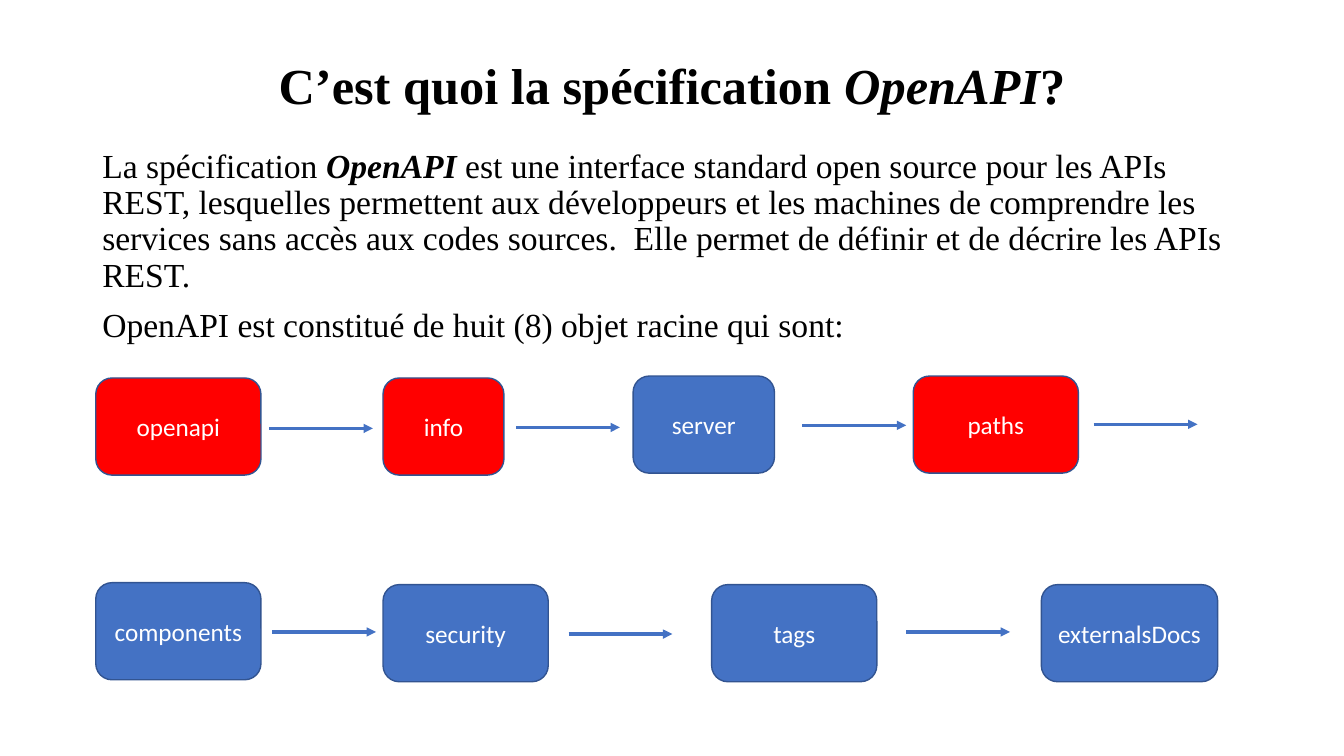
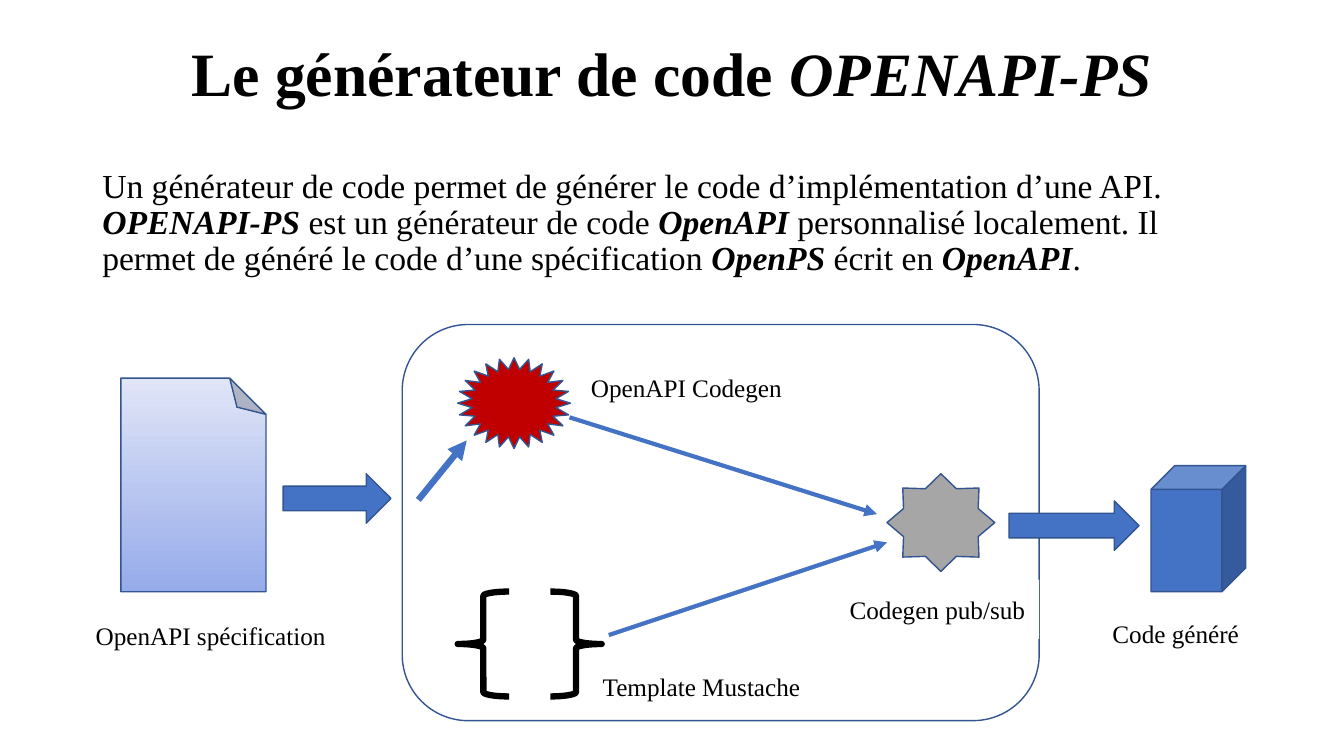
from dataclasses import dataclass
from typing import Any, Optional

from lxml.etree import SubElement
from pptx import Presentation
from pptx.dml.color import RGBColor
from pptx.enum.shapes import MSO_CONNECTOR, MSO_SHAPE
from pptx.enum.text import MSO_ANCHOR, MSO_AUTO_SIZE, PP_ALIGN
from pptx.oxml.ns import qn
from pptx.util import Pt

# Shared style
BLACK = RGBColor(0x00, 0x00, 0x00)
WHITE = RGBColor(0xFF, 0xFF, 0xFF)
BLUE = RGBColor(0x44, 0x72, 0xC4)
NAVY = RGBColor(0x32, 0x54, 0x91)
RED = RGBColor(0xFF, 0x00, 0x00)
CRIMSON = RGBColor(0xC0, 0x00, 0x00)
GREY = RGBColor(0xA6, 0xA6, 0xA6)
PALE = RGBColor(0xE0, 0xE5, 0xF7)
SKY = RGBColor(0x96, 0xAB, 0xEA)
SERIF, SANS = "Times New Roman", "Calibri"
LEFT, WIDE = 66, 828


@dataclass
class Box:
    """A preset shape, in points, with optional text."""
    kind: MSO_SHAPE
    left: float
    top: float
    width: float
    height: float
    fill: Optional[RGBColor] = BLUE
    line: Optional[RGBColor] = NAVY
    weight: float = 1
    text: str = ""
    font: str = SERIF
    color: RGBColor = BLACK


@dataclass
class Arrow:
    """A straight arrow, in points."""
    x1: float
    y1: float
    x2: float
    y2: float
    weight: float = 2.25


def write(frame: Any, text: str, *, size: float = 18, font: str = SERIF,
          color: RGBColor = BLACK, bold: bool = False,
          align: PP_ALIGN = PP_ALIGN.CENTER, space: float = 1,
          before: float = 0, anchor: MSO_ANCHOR = MSO_ANCHOR.MIDDLE) -> None:
    """Fill a frame: newlines part paragraphs, *stars* mark bold italics."""
    frame.word_wrap = True
    frame.auto_size = MSO_AUTO_SIZE.NONE
    frame.vertical_anchor = anchor
    for i, part in enumerate(text.split("\n")):
        para = frame.add_paragraph() if i else frame.paragraphs[0]
        para.alignment, para.line_spacing = align, space
        para.space_before = Pt(before)
        for j, piece in enumerate(part.split("*")):
            if not piece:
                continue
            run = para.add_run()
            run.text = piece
            stress = j % 2 == 1
            run.font.size, run.font.name = Pt(size), font
            run.font.color.rgb = color
            run.font.bold, run.font.italic = bold or stress, stress


def start(deck: Any, title: str, size: float, top: float, height: float,
          body: str, drop: float, depth: float) -> Any:
    """Add a slide with its title and body text."""
    slide = deck.slides.add_slide(deck.slide_layouts[5])
    head = slide.shapes.title
    head.left, head.top = Pt(LEFT), Pt(top)
    head.width, head.height = Pt(WIDE), Pt(height)
    write(head.text_frame, title, size=size, bold=True, space=0.9)
    area = slide.shapes.add_textbox(Pt(LEFT), Pt(drop), Pt(WIDE), Pt(depth))
    write(area.text_frame, body, size=24, align=PP_ALIGN.LEFT, space=0.9,
          before=10, anchor=MSO_ANCHOR.TOP)
    return slide


def draw(slide: Any, box: Box) -> Any:
    shape = slide.shapes.add_shape(box.kind, Pt(box.left), Pt(box.top),
                                   Pt(box.width), Pt(box.height))
    shape.shadow.inherit = False
    if box.fill is None:
        shape.fill.background()
    else:
        shape.fill.solid()
        shape.fill.fore_color.rgb = box.fill
    if box.line is None:
        shape.line.fill.background()
    else:
        shape.line.color.rgb = box.line
        shape.line.width = Pt(box.weight)
    if box.text:
        write(shape.text_frame, box.text, font=box.font, color=box.color)
    return shape


def link(slide: Any, arrow: Arrow) -> None:
    line = slide.shapes.add_connector(
        MSO_CONNECTOR.STRAIGHT, Pt(arrow.x1), Pt(arrow.y1),
        Pt(arrow.x2), Pt(arrow.y2))
    line.line.color.rgb = BLUE
    line.line.width = Pt(arrow.weight)
    SubElement(line._element.spPr.find(qn("a:ln")), qn("a:tailEnd"),
               type="triangle")
    SubElement(line._element.spPr, qn("a:effectLst"))


def node(text: str, left: float, top: float, width: float = 118,
         fill: RGBColor = BLUE) -> Box:
    return Box(MSO_SHAPE.ROUNDED_RECTANGLE, left, top, width, 69.4, fill,
               text=text, font=SANS, color=WHITE)


def label(text: str, left: float, top: float, width: float,
          height: float = 42.4) -> Box:
    return Box(MSO_SHAPE.RECTANGLE, left, top, width, height, WHITE, None,
               text=text)


deck = Presentation()
deck.slide_width, deck.slide_height = Pt(960), Pt(540)

# Slide 1: root objects of the specification
slide = start(
    deck, "C’est quoi la spécification *OpenAPI*?", 36, 28.8, 69,
    "La spécification *OpenAPI* est une interface standard open source pour "
    "les APIs REST, lesquelles permettent aux développeurs et les machines "
    "de comprendre les services sans accès aux codes sources.  Elle permet "
    "de définir et de décrire les APIs REST.\n"
    "OpenAPI est constitué de huit (8) objet racine qui sont:", 103, 422)
NODES = [
    node("openapi", 68.4, 270, fill=RED),
    node("info", 273.6, 270, 86.4, RED),
    node("server", 452.2, 268.6, 101),
    node("paths", 652.3, 268.6, fill=RED),
    node("components", 68.4, 416.2),
    node("security", 273.6, 417.6),
    node("tags", 508.3, 417.6),
    node("externalsDocs", 743.8, 417.6, 126),
]
for item in NODES:
    draw(slide, item)
STARTS = [(192.2, 306), (368.6, 305.3), (573.1, 303.8), (781.2, 303.1),
          (194.4, 451.4), (406.1, 452.9), (647.3, 451.4)]
for x, y in STARTS:
    link(slide, Arrow(x, y, x + 74.2, y))

# Slide 2: the code generator
slide = start(
    deck, "Le générateur de code *OPENAPI-PS*", 44, 26, 57,
    "Un générateur de code permet de générer le code d’implémentation d’une "
    "API. *OPENAPI-PS *est un générateur de code *OpenAPI *personnalisé "
    "localement. Il permet de généré le code d’une spécification *OpenPS* "
    "écrit en *OpenAPI*.", 117.4, 404.6)
PARTS = [
    # Frame and braces
    Box(MSO_SHAPE.ROUNDED_RECTANGLE, 287.3, 231.8, 455, 283, WHITE),
    Box(MSO_SHAPE.LEFT_BRACE, 326.9, 422.6, 36.7, 74.9, None, BLACK, 4.5),
    Box(MSO_SHAPE.RIGHT_BRACE, 393.1, 422.6, 36.7, 74.9, None, BLACK, 4.5),
    # Labels
    label("OpenAPI Codegen", 411.8, 255.6, 157),
    label("Codegen pub/sub", 596.9, 414, 145.4),
    label("Template Mustache", 422.6, 473.8, 157, 32.4),
    label("OpenAPI spécification", 59.8, 432.7, 181.4),
    label("Code généré", 786.2, 431.3, 107.3),
    # Engines, flow and result
    Box(MSO_SHAPE.STAR_24_POINT, 326.9, 255.6, 80.6, 64.8, CRIMSON),
    Box(MSO_SHAPE.STAR_8_POINT, 633.6, 338.4, 77, 69.8, GREY),
    Box(MSO_SHAPE.RIGHT_ARROW, 202.3, 338.4, 77, 35.3),
    Box(MSO_SHAPE.CUBE, 822.2, 332.6, 67.7, 90),
    Box(MSO_SHAPE.RIGHT_ARROW, 720.7, 357.8, 92.9, 35.3),
]
for item in PARTS:
    draw(slide, item)

# Specification sheet, turned so its fold is at top right
sheet = draw(slide, Box(MSO_SHAPE.FOLDED_CORNER, 61.9, 294.5, 152.6, 103.7))
sheet.rotation = 270
folds = sheet._element.spPr.find(qn("a:prstGeom")).find(qn("a:avLst"))
SubElement(folds, qn("a:gd"), name="adj", fmla="val 25000")
sheet.fill.gradient()
sheet.fill.gradient_angle = 0
for stop, tint in zip(sheet.fill.gradient_stops, (SKY, PALE)):
    stop.color.rgb = tint

for arrow in (Arrow(298.8, 357.1, 333.4, 314.6, 4.5),
              Arrow(406.8, 298.1, 626.4, 367.2, 3),
              Arrow(434.9, 453.6, 633.6, 387.4, 3)):
    link(slide, arrow)

deck.save("out.pptx")
